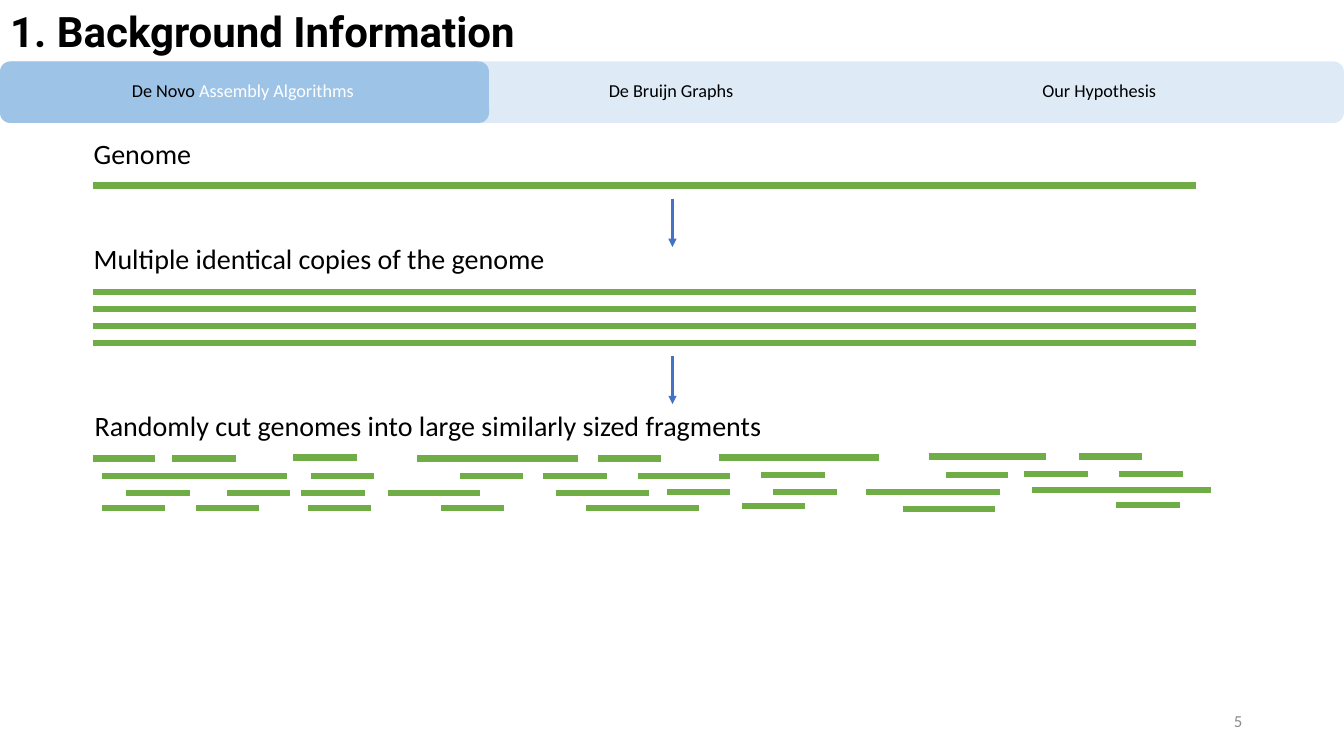
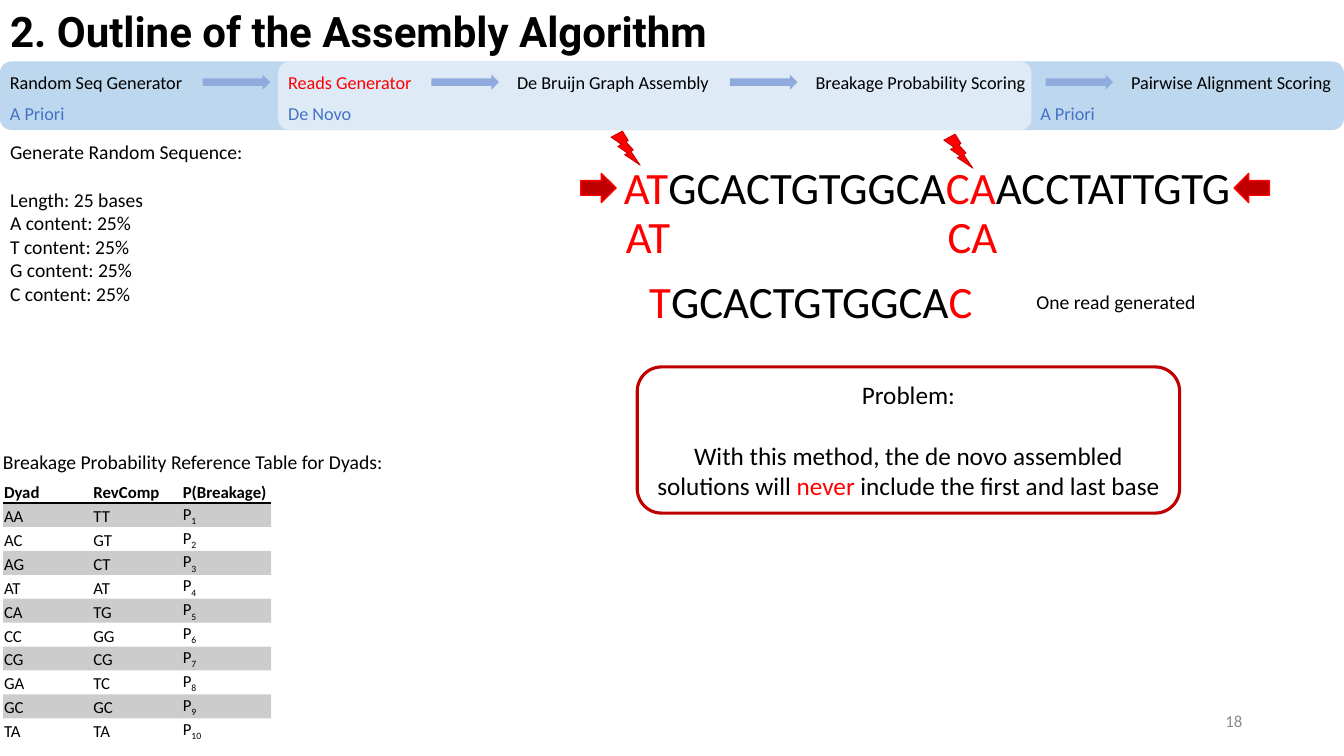
"""Build two slides on genome fragmentation and the assembly algorithm."""
from dataclasses import dataclass
from typing import Any, NamedTuple, Optional

from lxml import etree
from pptx import Presentation
from pptx import util as u
from pptx.dml.color import RGBColor
from pptx.enum import shapes, text
from pptx.oxml import parse_xml
from pptx.oxml.ns import nsdecls, qn


@dataclass(frozen=True)
class Theme:
    """Colours, fonts and type sizes."""
    black: str = "000000"
    white: str = "FFFFFF"
    grey: str = "8C8C8C"
    red: str = "FF0000"
    dark_red: str = "C00000"
    green: str = "70AD47"
    blue: str = "4472C4"
    step_blue: str = "8FAADC"
    band_light: str = "DEEBF7"
    band_mid: str = "BDD7EE"
    band_strong: str = "9DC3E6"
    head_font: str = "Roboto"
    body_font: str = "Calibri"
    title: int = 30
    sequence: int = 32
    label: int = 20
    callout: int = 18
    note: int = 14
    nav: int = 13
    small: int = 12


T = Theme()
SHAPE = shapes.MSO_SHAPE
ALIGN = text.PP_ALIGN
ANCHOR = text.MSO_ANCHOR
NO_GRID = "{2D5ABB26-0587-4C30-8999-92F81FD0307C}"


class Box(NamedTuple):
    """Left, top, width and height in inches."""
    x: float
    y: float
    w: float
    h: float


class Run(NamedTuple):
    """A piece of text in one format."""
    text: str
    color: str = T.black
    subscript: bool = False


class Para(NamedTuple):
    """A paragraph with the space above it in points."""
    runs: list[Run]
    before: float = 0


class Label(NamedTuple):
    """A one-format text box."""
    text: str
    box: Box
    size: int
    color: str = T.black


class Figure(NamedTuple):
    """A preset shape with its fill and outline."""
    kind: Any
    box: Box
    fill: Optional[str] = None
    line: Optional[str] = None
    weight: float = 0


class Step(NamedTuple):
    """A stage of the pipeline and the width of its label."""
    name: str
    width: float
    color: str = T.black


class FragmentRow(NamedTuple):
    """Fragments at one height, as start and end pairs."""
    y: float
    spans: list[tuple[float, float]]


FRAGMENTS = [
    FragmentRow(4.53, [(9.21, 10.37), (10.7, 11.33)]),
    FragmentRow(4.54, [(2.91, 3.54), (7.13, 7.75), (7.55, 8.72)]),
    FragmentRow(4.55, [(0.92, 1.54), (1.71, 2.34), (4.14, 5.19), (5.11, 5.73), (5.93, 6.56)]),
    FragmentRow(4.7, [(10.16, 10.79), (11.1, 11.73)]),
    FragmentRow(4.71, [(7.55, 8.18), (9.38, 10)]),
    FragmentRow(4.72, [(1.01, 2.1), (1.94, 2.85), (3.08, 3.71), (4.56, 5.19), (5.39, 6.02),
                       (6.33, 7.24)]),
    FragmentRow(4.86, [(10.24, 11.86), (11.39, 12.01)]),
    FragmentRow(4.88, [(6.62, 7.24), (7.67, 8.3), (8.59, 9.42), (9.29, 9.92)]),
    FragmentRow(4.89, [(1.25, 1.88), (2.25, 2.88), (2.99, 3.62), (3.85, 4.76), (5.51, 6.44)]),
    FragmentRow(5.01, [(11.07, 11.7)]),
    FragmentRow(5.02, [(7.36, 7.98)]),
    FragmentRow(5.04, [(1.01, 1.64), (1.94, 2.57), (3.05, 3.68), (4.37, 5), (5.81, 6.93)]),
    FragmentRow(5.05, [(8.96, 9.87)]),
]
STEPS = [
    Step("Random Seq Generator", 1.94),
    Step("Reads Generator", 1.45, T.red),
    Step("De Bruijn Graph Assembly", 2.14),
    Step("Breakage Probability Scoring", 2.31),
    Step("Pairwise Alignment Scoring", 2.21),
]
DYADS = [("AA", "TT"), ("AC", "GT"), ("AG", "CT"), ("AT", "AT"), ("CA", "TG"),
         ("CC", "GG"), ("CG", "CG"), ("GA", "TC"), ("GC", "GC"), ("TA", "TA")]


def apply(obj: Any, fmt: dict[str, Any]) -> None:
    """Set attributes from a dict of format values."""
    for name, value in fmt.items():
        setattr(obj, name, value)


def inches(box: Box) -> list[int]:
    """Convert a box to lengths."""
    return [u.Inches(v) for v in box]


def write(tf: Any, paras: list[Para], size: int, font: str = T.body_font,
          bold: bool = False, align: Any = ALIGN.LEFT) -> None:
    """Fill a text frame with formatted paragraphs."""
    for i, para in enumerate(paras):
        p = tf.add_paragraph() if i else tf.paragraphs[0]
        apply(p, {"alignment": align, "space_before": u.Pt(para.before)})
        for item in para.runs:
            r = p.add_run()
            r.text = item.text
            apply(r.font, {"name": font, "size": u.Pt(size), "bold": bold})
            r.font.color.rgb = RGBColor.from_string(item.color)
            if item.subscript:
                r.font._element.set("baseline", "-25000")


def add_text(s: Any, box: Box, paras: list[Para], size: int) -> None:
    """Add an unwrapped text box."""
    tf = s.shapes.add_textbox(*inches(box)).text_frame
    tf.word_wrap = False
    write(tf, paras, size)


def add_label(s: Any, label: Label) -> None:
    """Add a one-line label."""
    add_text(s, label.box, [Para([Run(label.text, label.color)])], label.size)


def add_figure(s: Any, fig: Figure) -> Any:
    """Add a preset shape."""
    sp = s.shapes.add_shape(fig.kind, *inches(fig.box))
    sp.shadow.inherit = False
    for part, color in ((sp.fill, fig.fill), (sp.line.fill, fig.line)):
        if color:
            part.solid()
            part.fore_color.rgb = RGBColor.from_string(color)
        else:
            part.background()
    if fig.line:
        sp.line.width = u.Pt(fig.weight)
    return sp


def add_line(s: Any, start: tuple[float, float], end: tuple[float, float],
             color: str = T.green, weight: float = 4.5, arrow: bool = False) -> None:
    """Add a straight line, with an arrowhead on request."""
    c = s.shapes.add_connector(shapes.MSO_CONNECTOR.STRAIGHT,
                               *[u.Inches(v) for v in (*start, *end)])
    c.line.color.rgb = RGBColor.from_string(color)
    c.line.width = u.Pt(weight)
    if arrow:
        etree.SubElement(c.line._get_or_add_ln(), qn("a:tailEnd"), type="triangle")
    etree.SubElement(c._element.spPr, qn("a:effectLst"))


def place(sp: Any, box: Box) -> Any:
    """Move a placeholder and return its plain text frame."""
    apply(sp, dict(zip(("left", "top", "width", "height"), inches(box))))
    apply(sp.text_frame, {"auto_size": text.MSO_AUTO_SIZE.NONE, "word_wrap": True,
                          "vertical_anchor": ANCHOR.TOP})
    return sp.text_frame


def start_slide(prs: Any, layout: int, title: str, width: float, number: int) -> Any:
    """Add a slide with its title and number."""
    s = prs.slides.add_slide(prs.slide_layouts[layout])
    write(place(s.shapes.title, Box(0, 0, width, 0.61)), [Para([Run(title)])],
          T.title, T.head_font, True)
    tf = s.shapes.add_textbox(*inches(Box(9.42, 6.95, 3, 0.4))).text_frame
    apply(tf, {"word_wrap": True, "vertical_anchor": ANCHOR.MIDDLE})
    write(tf, [Para([Run(str(number), T.grey)])], T.small, align=ALIGN.RIGHT)
    return s


def add_band(s: Any, x: float, w: float, h: float, color: str) -> None:
    """Add a rounded navigation band under the title."""
    add_figure(s, Figure(SHAPE.ROUNDED_RECTANGLE, Box(x, 0.61, w, h), color))


def add_dyad_table(s: Any) -> None:
    """Add the reference table of breakage probabilities."""
    rows = [[[Run(h)] for h in ("Dyad", "RevComp", "P(Breakage)")]]
    rows += [[[Run(a)], [Run(b)], [Run("P"), Run(str(i), subscript=True)]]
             for i, (a, b) in enumerate(DYADS, 1)]
    frame = s.shapes.add_table(len(rows), 3, *inches(Box(0.03, 4.77, 2.66, 0.22 * len(rows))))
    table = frame.table
    apply(table, {"first_row": False, "horz_banding": False})
    table._tbl.tblPr.find(qn("a:tableStyleId")).text = NO_GRID
    for i, row in enumerate(rows):
        for j, runs in enumerate(row):
            cell = table.cell(i, j)
            edge = u.Inches(0.01)
            apply(cell, {"margin_left": edge, "margin_right": edge, "margin_top": edge,
                         "margin_bottom": 0, "vertical_anchor": ANCHOR.BOTTOM})
            write(cell.text_frame, [Para(runs)], T.small, bold=i == 0)
            if i % 2:
                cell.fill.solid()
                cell.fill.fore_color.rgb = RGBColor.from_string(T.black)
                color = cell._tc.tcPr.find(".//" + qn("a:srgbClr"))
                etree.SubElement(color, qn("a:alpha"), val="20000")
            else:
                cell.fill.background()
            if i == 0:
                cell._tc.tcPr.insert(0, parse_xml(
                    f'<a:lnB {nsdecls("a")} w="12700"><a:solidFill>'
                    f'<a:srgbClr val="{T.black}"/></a:solidFill></a:lnB>'))


def build_background(prs: Any) -> None:
    """Draw the genome being copied and cut."""
    s = start_slide(prs, 5, "1. Background Information", 6.92, 5)
    add_band(s, 0, 13.33, 0.61, T.band_light)
    add_band(s, 0, 4.85, 0.61, T.band_strong)
    add_text(s, Box(1.21, 0.74, 2.44, 0.32),
             [Para([Run("De Novo "), Run("Assembly Algorithms", T.white)])], T.nav)
    for label in (
        Label("De Bruijn Graphs", Box(5.94, 0.74, 1.46, 0.32), T.nav),
        Label("Our Hypothesis", Box(10.24, 0.74, 1.35, 0.32), T.nav),
        Label("Genome", Box(0.83, 1.31, 1.18, 0.44), T.label),
        Label("Multiple identical copies of the genome", Box(0.83, 2.35, 4.73, 0.44), T.label),
        Label("Randomly cut genomes into large similarly sized fragments",
              Box(0.84, 4, 6.88, 0.44), T.label),
    ):
        add_label(s, label)
    genomes = [FragmentRow(y, [(0.92, 11.86)])
               for y in (1.84, *(2.9 + i * 0.5 / 3 for i in range(4)))]
    for row in genomes + FRAGMENTS:
        for x0, x1 in row.spans:
            add_line(s, (x0, row.y), (x1, row.y))
    for y in (1.97, 3.53):
        add_line(s, (6.67, y), (6.67, y + 0.48), T.blue, 1.5, True)


def build_outline(prs: Any) -> None:
    """Draw the pipeline and one generated read."""
    s = start_slide(prs, 1, "2. Outline of the Assembly Algorithm", 9.25, 18)
    add_band(s, 0, 13.33, 0.68, T.band_mid)
    add_band(s, 2.76, 7.47, 0.68, T.band_light)
    x = 0.0
    for step in STEPS:
        if x:
            add_figure(s, Figure(SHAPE.RIGHT_ARROW, Box(x - 0.75, 0.74, 0.67, 0.15), T.step_blue))
        add_label(s, Label(step.name, Box(x, 0.66, step.width, 0.32), T.nav, step.color))
        x += step.width + 0.82
    for label in (
        Label("A Priori", Box(0, 0.97, 0.75, 0.32), T.nav, T.blue),
        Label("De Novo", Box(2.76, 0.97, 0.84, 0.32), T.nav, T.blue),
        Label("A Priori", Box(10.22, 0.97, 0.75, 0.32), T.nav, T.blue),
        Label("AT", Box(6.11, 2.02, 0.64, 0.64), T.sequence, T.red),
        Label("CA", Box(9.3, 2.02, 0.7, 0.64), T.sequence, T.red),
        Label("One read generated", Box(10.18, 2.83, 1.8, 0.34), T.note),
        Label("Breakage Probability Reference Table for Dyads:",
              Box(-0.07, 4.41, 4.01, 0.57), T.note),
    ):
        add_label(s, label)
    middle = Run("GCACTGTGGCA")
    add_text(s, Box(6.09, 1.54, 6.26, 0.64), [Para([
        Run("AT", T.red), middle, Run("CA", T.red), Run("ACCTATTGTG")])], T.sequence)
    add_text(s, Box(6.34, 2.67, 3.43, 0.64),
             [Para([Run("T", T.red), middle, Run("C", T.red)])], T.sequence)
    for fig in (
        Figure(SHAPE.LIGHTNING_BOLT, Box(6.06, 1.3, 0.29, 0.34), T.red, T.dark_red, 0.5),
        Figure(SHAPE.LIGHTNING_BOLT, Box(9.36, 1.33, 0.29, 0.34), T.red, T.dark_red, 0.5),
        Figure(SHAPE.RIGHT_ARROW, Box(5.76, 1.72, 0.35, 0.29), T.dark_red, T.red, 1),
        Figure(SHAPE.LEFT_ARROW, Box(12.24, 1.72, 0.35, 0.29), T.dark_red, T.red, 1),
    ):
        add_figure(s, fig)
    problem = add_figure(s, Figure(SHAPE.ROUNDED_RECTANGLE, Box(6.32, 3.64, 5.38, 1.45),
                                   line=T.dark_red, weight=2.25))
    write(problem.text_frame, [Para([Run("Problem:")]), Para([
        Run("With this method, the de novo assembled solutions will "), Run("never", T.red),
        Run(" include the first and last base")], 22)], T.callout, align=ALIGN.CENTER)
    tf = place(s.placeholders[1], Box(0, 1.34, 2.6, 1.75))
    write(tf, [Para([Run("Generate Random Sequence:")]), Para([Run("Length: 25 bases")], 17),
               *(Para([Run(f"{base} content: 25%")]) for base in "ATGC")], T.note)
    for p in tf.paragraphs:
        pPr = p._p.get_or_add_pPr()
        apply_indent = {"marL": "0", "indent": "0"}
        for name, value in apply_indent.items():
            pPr.set(name, value)
        etree.SubElement(pPr, qn("a:buNone"))
    add_dyad_table(s)


def main() -> None:
    """Build and save the presentation."""
    prs = Presentation()
    apply(prs, {"slide_width": u.Inches(13.33), "slide_height": u.Inches(7.5)})
    build_background(prs)
    build_outline(prs)
    prs.save("out.pptx")


main()
